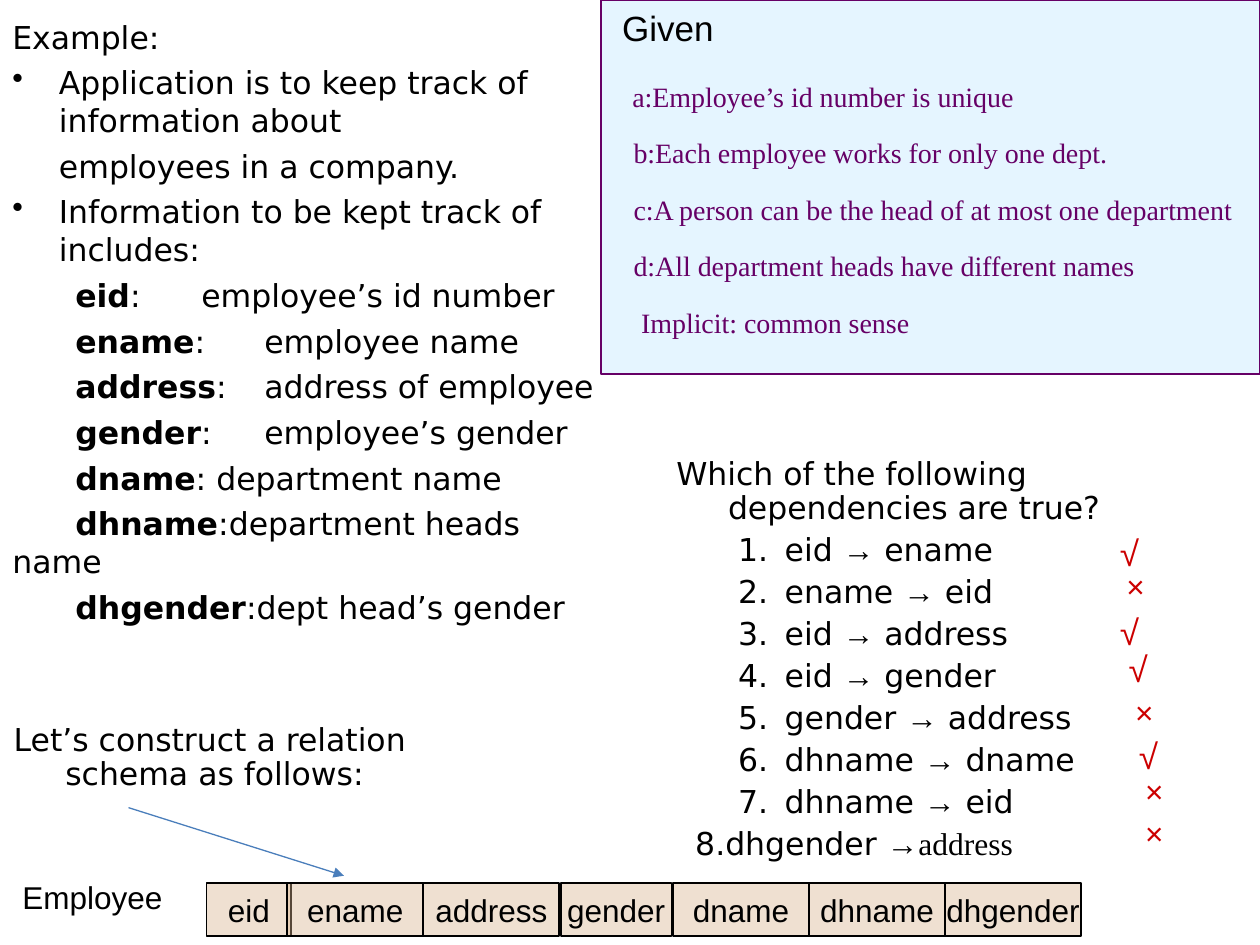
from lxml import etree
from pptx import Presentation
from pptx import util as u
from pptx.dml.color import RGBColor
from pptx.enum import shapes, text
from pptx.oxml.ns import qn

COLORS = {
    "black": "000000", "purple": "660066", "pale blue": "CCECFF",
    "tan": "D9B38D", "red": "CC0000", "arrow": "4A7EBB",
}
SANS, ARIAL, SERIF = "DejaVu Sans", "Arial", "Times New Roman"

presentation = Presentation()
presentation.slide_width, presentation.slide_height = u.Inches(10), u.Inches(7.5)
slide = presentation.slides.add_slide(presentation.slide_layouts[6])
UNIT = presentation.slide_width / 100  # the slide is 100 columns by 75 rows


def add_box(left, top, width, height, fill=None, line=None, opacity=100, wrap=True):
    """Add a text box, or a rectangle when a fill is named; lengths are grid units."""
    area = [round(n * UNIT) for n in (left, top, width, height)]
    if fill:
        shape = slide.shapes.add_shape(shapes.MSO_SHAPE.RECTANGLE, *area)
        shape.shadow.inherit = False
        shape.fill.solid()
        shape.fill.fore_color.rgb = RGBColor.from_string(COLORS[fill])
        color = shape.fill._xPr.find(qn("a:solidFill"))[0]
        etree.SubElement(color, qn("a:alpha"), val=str(opacity * 1000))
        shape.line.color.rgb = RGBColor.from_string(COLORS[line])
        shape.line.width = u.Pt(1)
    else:
        shape = slide.shapes.add_textbox(*area)
    frame = shape.text_frame
    frame.word_wrap = wrap
    frame.vertical_anchor = text.MSO_ANCHOR.MIDDLE if opacity == 40 else text.MSO_ANCHOR.TOP
    return frame


def write(frame, content, size=18, font=SANS, color="black", align="LEFT", before=0,
          spacing=None, left=0, hang=0, level=0, bullet=None, tabs=()):
    """Write one paragraph; content is a string or a list of (string, font, bold)."""
    paragraph = frame.paragraphs[0]
    if paragraph.runs:
        paragraph = frame.add_paragraph()
        paragraph.space_before = u.Pt(before)
    paragraph.alignment = getattr(text.PP_ALIGN, align)
    paragraph.level = level
    if spacing:
        paragraph.line_spacing = spacing
    properties = paragraph._p.get_or_add_pPr()
    properties.set("marL", str(round(left * UNIT)))
    properties.set("indent", str(round(-hang * UNIT)))
    if bullet == "number":
        etree.SubElement(properties, qn("a:buAutoNum"), type="arabicPeriod")
    elif bullet:
        etree.SubElement(properties, qn("a:buChar"), char=bullet)
    else:
        etree.SubElement(properties, qn("a:buNone"))
    if tabs:
        tab_list = etree.SubElement(properties, qn("a:tabLst"))
        for stop in tabs:
            etree.SubElement(tab_list, qn("a:tab"), pos=str(round(stop * UNIT)), algn="l")
    for words, face, bold in [(content, font, False)] if isinstance(content, str) else content:
        run = paragraph.add_run()
        run.text = words
        run.font.size, run.font.name, run.font.bold = u.Pt(size), face, bold
        run.font.color.rgb = RGBColor.from_string(COLORS[color])


# Example and attribute definitions
example = add_box(0, 0.9, 50, 59.3)
write(example, "Example:")
bulleted = dict(before=4.5, left=3.7, hang=3.7, bullet="•")
write(example, "Application is to keep track of information about", **bulleted)
write(example, "employees in a company.", before=4.5, left=3.7)
write(example, "Information to be kept track of includes:", **bulleted)
definitions = [
    ("eid", ":\temployee’s id number", 11.3),
    ("ename", ":\temployee name", 17.2),
    ("address", ":\taddress of employee", 17.3),
    ("gender", ":\temployee’s gender", 16.1),
    ("dname", ": department name", None),
    ("dhname", ":department heads name", None),
    ("dhgender", ":dept head’s gender", None),
]
for name, meaning, stop in definitions:
    write(example, [("\t" + name, SANS, True), (meaning, SANS, False)],
          before=4.5, tabs=[3.7, stop] if stop else [3.7])

# Given facts
given = add_box(47.7, 0, 52.3, 29.7, fill="pale blue", line="purple", opacity=50)
write(given, "Given", size=20, font=ARIAL, left=0.7)
facts = [
    ("a:Employee’s id number is unique", 1.5, 18),
    ("b:Each employee works for only one dept.", 1.6, 13),
    ("c:A person can be the head of at most one department", 1.6, 13),
    ("d:All department heads have different names", 1.6, 13),
    ("Implicit: common sense", 2.2, 13),
]
for fact, left, before in facts:
    write(given, fact, size=16, font=SERIF, color="purple", left=left, before=before)

# Employee relation
write(add_box(0.8, 69.2, 13.1, 4, wrap=False), "Employee", font=ARIAL)
columns = [
    ("eid", 16.4, 6.7), ("ename", 22.8, 10.8), ("address", 33.6, 10.8),
    ("gender", 44.5, 8.8), ("dname", 53.4, 10.8), ("dhname", 64.2, 10.8),
    ("dhgender", 75, 10.8),
]
for name, left, width in columns:
    cell = add_box(left, 70.1, width, 4.2, fill="tan", line="black", opacity=40, wrap=False)
    write(cell, name, font=ARIAL, align="CENTER")

# Dependencies to judge
tight = dict(before=4.5, spacing=0.9)
questions = add_box(52.6, 35.9, 45, 33)
write(questions, "Which of the following dependencies are true?", left=4.2, hang=4.1, **tight)
dependencies = [
    ("eid", "ename"), ("ename", "eid"), ("eid", "address"), ("eid", "gender"),
    ("gender", "address"), ("dhname", "dname"), ("dhname", "eid"),
]
for source, target in dependencies:
    write(questions, [(source + " ", SANS, False), ("→", ARIAL, False), (" " + target, SANS, False)],
          left=8.7, hang=3.7, level=1, bullet="number", **tight)
write(questions, [("8.dhgender ", SANS, False), ("→", ARIAL, False), ("address", SERIF, False)],
      left=1.6, **tight)

# Schema caption and its arrow
caption = add_box(0, 57, 37.5, 6.4)
write(caption, "Let’s construct a relation schema as follows:", left=4.2, hang=4.1, **tight)
arrow = slide.shapes.add_connector(
    shapes.MSO_CONNECTOR.STRAIGHT, *[round(n * UNIT) for n in (10.2, 64.1, 27.3, 69.5)])
arrow.line.color.rgb = RGBColor.from_string(COLORS["arrow"])
arrow.line.width = u.Pt(0.75)
etree.SubElement(arrow.line._get_or_add_ln(), qn("a:tailEnd"), type="triangle")
etree.SubElement(arrow._element.spPr, qn("a:effectLst"))

# Verdicts
mark_formats = {"√": (3.5, 4.4, 20), "×": (3.8, 4, 18)}
verdicts = [
    ("√", 87.9, 41.7), ("×", 88.4, 44.5), ("√", 87.9, 48), ("√", 88.6, 50.9),
    ("×", 89.1, 54.5), ("√", 89.4, 57.8), ("×", 89.9, 60.8), ("×", 89.9, 64.1),
]
for mark, left, top in verdicts:
    width, height, size = mark_formats[mark]
    write(add_box(left, top, width, height), mark, size=size, font=ARIAL, color="red")

presentation.save("out.pptx")
